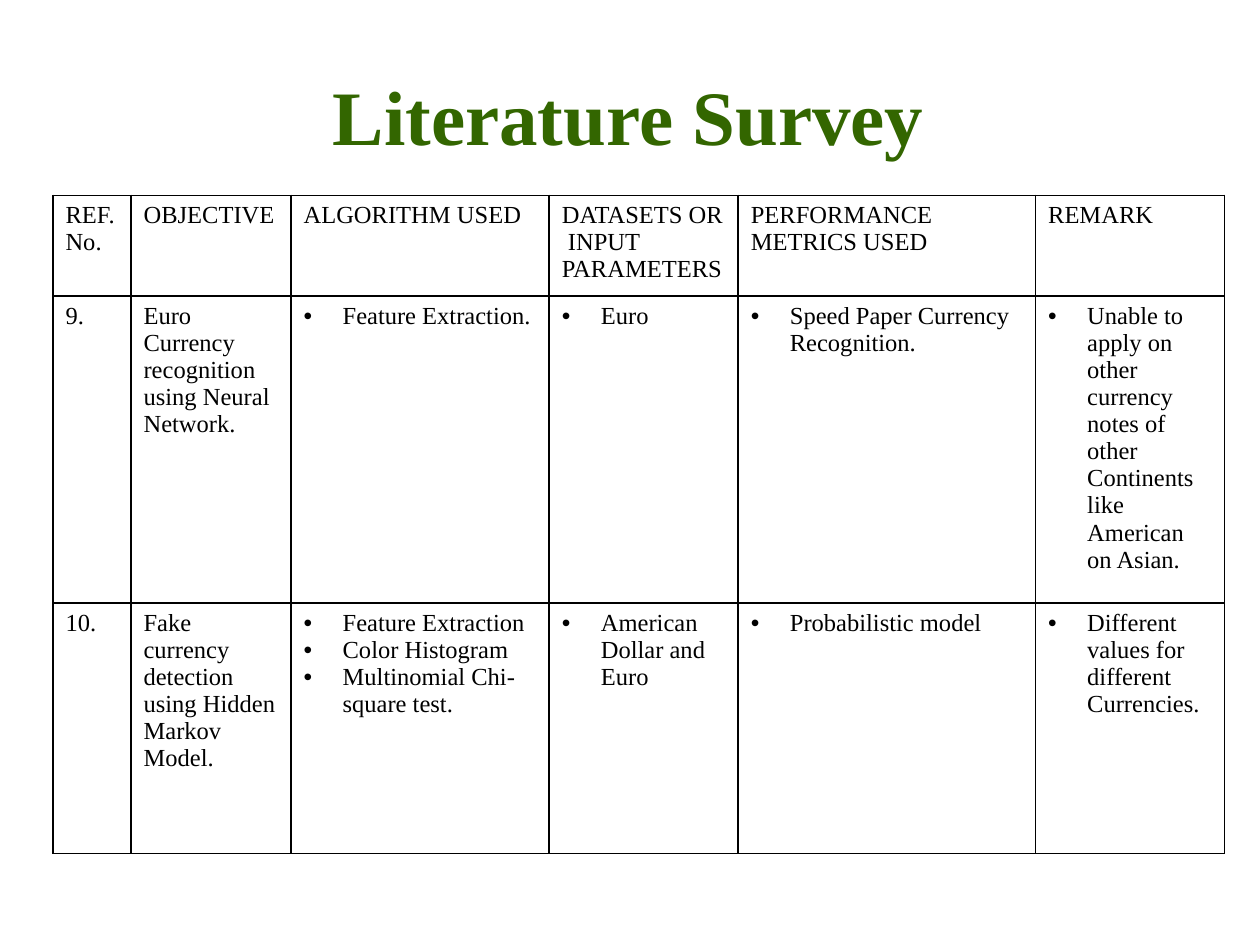
"""Build the literature survey slide with its table of references."""
from lxml.etree import SubElement
from pptx import Presentation
from pptx.dml.color import RGBColor
from pptx.enum.text import MSO_ANCHOR, MSO_AUTO_SIZE, PP_ALIGN
from pptx.oxml.ns import qn
from pptx.util import Inches, Pt

GREEN = RGBColor(0x33, 0x66, 0x00)
BLACK = RGBColor(0x00, 0x00, 0x00)
WHITE = RGBColor(0xFF, 0xFF, 0xFF)
WIDTHS = [0.62, 1.27, 2.05, 1.5, 2.36, 1.5]
HEIGHTS = [0.8, 2.43, 1.99]
ROWS = [
    ["REF. No.", "OBJECTIVE", "ALGORITHM USED", "DATASETS OR  INPUT PARAMETERS",
     "PERFORMANCE METRICS USED", "REMARK"],
    ["9.", "Euro Currency recognition using Neural Network.",
     "Feature Extraction.", "Euro", "Speed Paper Currency Recognition.",
     "Unable to apply on other currency notes of other Continents like "
     "American on Asian."],
    ["10.", "Fake currency detection using Hidden Markov Model.",
     "Feature Extraction\nColor Histogram\nMultinomial Chi-square test.",
     "American Dollar and Euro", "Probabilistic model",
     "Different values for different Currencies."],
]


def write(frame, text, size=14, color=BLACK, bold=False, align=PP_ALIGN.LEFT,
          spacing=1.0, bullet=False):
    frame.text = text
    for para in frame.paragraphs:
        para.alignment = align
        para.line_spacing = spacing
        font = para.runs[0].font
        font.name = "Times New Roman"
        font.size = Pt(size)
        font.bold = bold
        font.color.rgb = color
        if bullet:
            props = para._p.get_or_add_pPr()
            props.set("marL", str(Inches(0.31)))
            props.set("indent", str(Inches(-0.31)))
            SubElement(props, qn("a:buFont"), typeface="Arial")
            SubElement(props, qn("a:buChar"), char="•")


def border(cell):
    props = cell._tc.get_or_add_tcPr()
    for spot, side in enumerate(["a:lnL", "a:lnR", "a:lnT", "a:lnB"]):
        line = props.makeelement(qn(side), {"w": str(Pt(1))})
        fill = SubElement(line, qn("a:solidFill"))
        SubElement(fill, qn("a:srgbClr"), val=str(BLACK))
        props.insert(spot, line)


deck = Presentation()
deck.slide_width, deck.slide_height = Inches(10), Inches(7.5)
slide = deck.slides.add_slide(deck.slide_layouts[5])

title = slide.shapes.title
title.left, title.top = Inches(0.48), Inches(0.12)
title.width, title.height = Inches(9.17), Inches(1.21)
frame = title.text_frame
frame.word_wrap = True
frame.auto_size = MSO_AUTO_SIZE.SHAPE_TO_FIT_TEXT
frame.vertical_anchor = MSO_ANCHOR.MIDDLE
write(frame, "Literature Survey ", size=44, color=GREEN, bold=True,
      align=PP_ALIGN.CENTER, spacing=1.5)

table = slide.shapes.add_table(
    len(ROWS), len(WIDTHS), Inches(0.42), Inches(1.55),
    Inches(sum(WIDTHS)), Inches(sum(HEIGHTS))).table
table.first_row = table.horz_banding = False
for col, width in zip(table.columns, WIDTHS):
    col.width = Inches(width)
for row, height in zip(table.rows, HEIGHTS):
    row.height = Inches(height)

for i, texts in enumerate(ROWS):
    for j, text in enumerate(texts):
        cell = table.cell(i, j)
        cell.fill.solid()
        cell.fill.fore_color.rgb = WHITE
        write(cell.text_frame, text, bullet=i > 0 and j > 1)
        border(cell)

deck.save("out.pptx")
